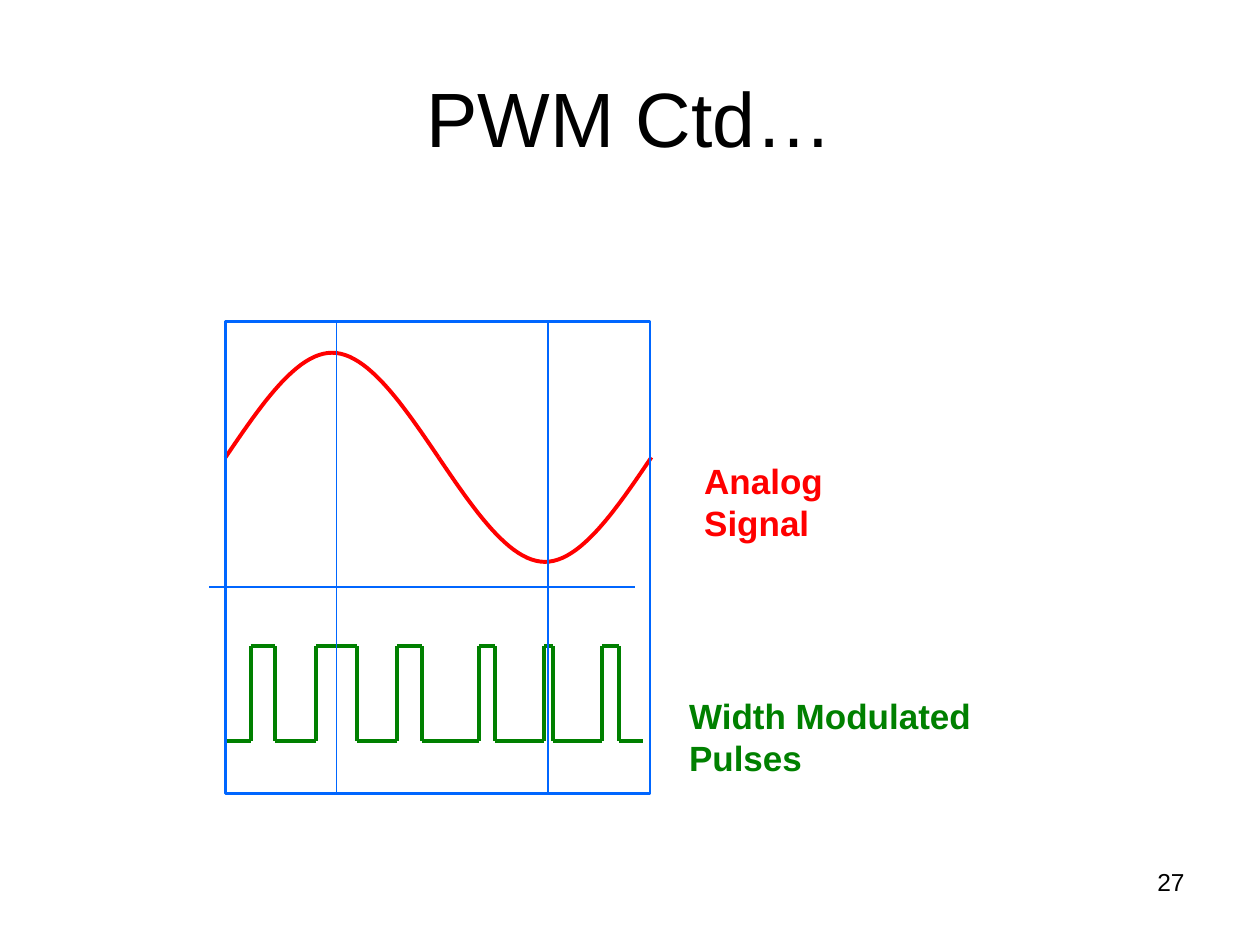
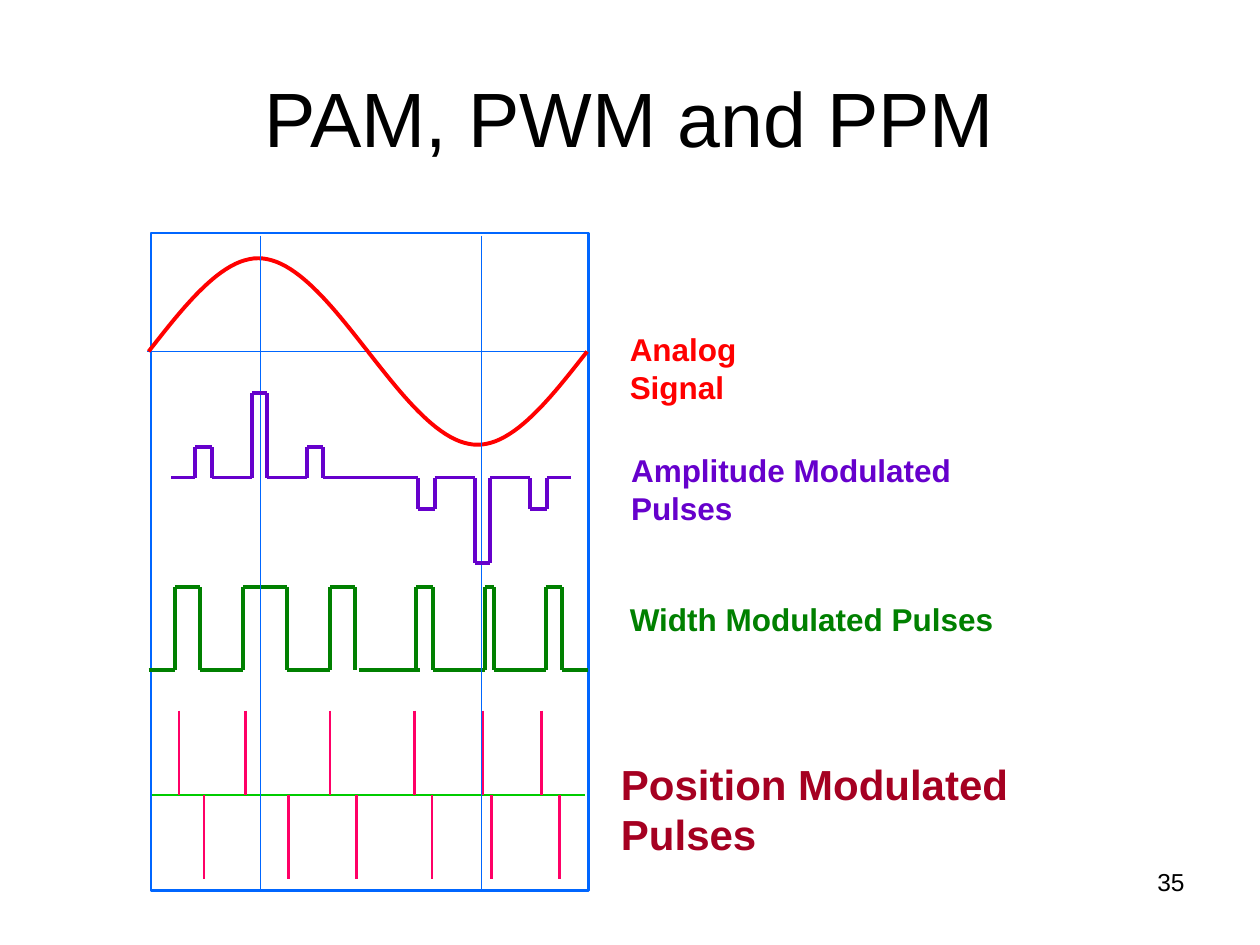
from dataclasses import dataclass

from lxml import etree
from pptx import Presentation
from pptx.dml.color import RGBColor
from pptx.enum import shapes, text
from pptx.oxml.ns import qn
from pptx.util import Inches, Pt


@dataclass(frozen=True)
class Theme:
    font: str = "Arial"
    ink: str = "000000"
    analog: str = "FF0000"
    amplitude: str = "6600CC"
    width: str = "008000"
    position: str = "A50021"
    spike: str = "FF0066"
    axis: str = "00CC00"
    frame: str = "0066FF"
    title_size: int = 44
    page_size: int = 14
    signal_line: float = 2.25
    frame_line: float = 1.5
    guide_line: float = 0.75


THEME = Theme()


# Basic elements
def add_text(slide, box, words, size, color=THEME.ink, bold=False, wrap=True,
             align=text.PP_ALIGN.LEFT, anchor=text.MSO_ANCHOR.TOP):
    tf = slide.shapes.add_textbox(*map(Inches, box)).text_frame
    tf.word_wrap = wrap
    tf.vertical_anchor = anchor
    p = tf.paragraphs[0]
    p.text = words
    p.alignment = align
    p.font.name = THEME.font
    p.font.size = Pt(size)
    p.font.bold = bold
    p.font.color.rgb = RGBColor.from_string(color)


def add_label(slide, box, words, size, color, wrap=False):
    add_text(slide, box, words, size, color, bold=True, wrap=wrap)


def set_line(sp, color, weight):
    sp.line.color.rgb = RGBColor.from_string(color)
    sp.line.width = Pt(weight)


def add_line(slide, x1, y1, x2, y2, color, weight):
    line = slide.shapes.add_connector(
        shapes.MSO_CONNECTOR.STRAIGHT, *map(Inches, (x1, y1, x2, y2)))
    set_line(line, color, weight)
    etree.SubElement(line._element.spPr, qn("a:effectLst"))


def add_outline(sp, color, weight):
    sp.fill.background()
    sp.shadow.inherit = False
    set_line(sp, color, weight)


# Signal diagrams
def add_frame(slide, left, top, width, height):
    sp = slide.shapes.add_shape(
        shapes.MSO_SHAPE.RECTANGLE, *map(Inches, (left, top, width, height)))
    add_outline(sp, THEME.frame, THEME.frame_line)


def add_guide(slide, x1, y1, x2, y2):
    add_line(slide, x1, y1, x2, y2, THEME.frame, THEME.guide_line)


def add_half_wave(slide, left, axis_y, width, rise, steps=48):
    """Draw one smooth arch; a negative rise makes a trough."""
    points = []
    for i in range(steps + 1):
        u = 1 - abs(2 * i / steps - 1)
        points.append((Inches(left + width * i / steps),
                       Inches(axis_y - rise * (1.5 * u - 0.5 * u ** 3))))
    builder = slide.shapes.build_freeform(*points[0])
    builder.add_line_segments(points[1:], close=False)
    add_outline(builder.convert_to_shape(), THEME.analog, THEME.signal_line)


def add_analog_wave(slide, left, axis_y, half_width, rise):
    add_half_wave(slide, left, axis_y, half_width, rise)
    add_half_wave(slide, left + half_width, axis_y, half_width, -rise)


def add_pulse_train(slide, start, end, base, pulses, color, base_shifts=()):
    """Draw (left, right, peak) pulses, then the base line between them.

    base_shifts maps the index of a base line piece to its sideways shift.
    """
    def stroke(*ends):
        add_line(slide, *ends, color, THEME.signal_line)

    for left, right, peak in pulses:
        stroke(left, peak, left, base)
        stroke(right, peak, right, base)
        stroke(left, peak, right, peak)
    starts = [start] + [right for _, right, _ in pulses]
    ends = [left for left, _, _ in pulses] + [end]
    shifts = dict(base_shifts)
    for i, (x1, x2) in enumerate(zip(starts, ends)):
        shift = shifts.get(i, 0)
        stroke(x1 + shift, base, x2 + shift, base)


def add_width_pulses(slide, start, end, base, peak, edges, base_shifts=()):
    pulses = [(left, right, peak) for left, right in edges]
    add_pulse_train(slide, start, end, base, pulses, THEME.width, base_shifts)


def add_spikes(slide, xs, y1, y2):
    for x in xs:
        add_line(slide, x, y1, x, y2, THEME.spike, THEME.frame_line)


# Slides
def add_slide(prs, title, page):
    slide = prs.slides.add_slide(prs.slide_layouts[6])
    add_text(slide, (0.5, 0.3, 9, 1.25), title, THEME.title_size,
             align=text.PP_ALIGN.CENTER, anchor=text.MSO_ANCHOR.MIDDLE)
    add_text(slide, (7.17, 6.83, 2.33, 0.52), str(page), THEME.page_size,
             align=text.PP_ALIGN.RIGHT)
    return slide


def build_pwm(prs):
    slide = add_slide(prs, "PWM Ctd…", 27)
    add_label(slide, (5.49, 3.6, 2.05, 0.44), "Analog Signal", 20, THEME.analog)
    add_label(slide, (5.37, 5.46, 3.41, 0.44), "Width Modulated Pulses", 20,
              THEME.width)
    edges = [(1.99, 2.18), (2.51, 2.83), (3.15, 3.35),
             (3.8, 3.93), (4.32, 4.39), (4.78, 4.91)]
    add_width_pulses(slide, 1.79, 5.1, 5.88, 5.13, edges)
    add_analog_wave(slide, 1.79, 3.63, 1.69, 0.83)
    add_frame(slide, 1.79, 2.55, 3.37, 3.75)
    for x in (2.67, 4.35):
        add_guide(slide, x, 2.55, x, 6.3)
    add_guide(slide, 1.66, 4.66, 5.04, 4.66)


def build_comparison(prs):
    slide = add_slide(prs, "PAM, PWM and PPM", 35)
    add_label(slide, (4.9, 2.57, 1.86, 0.4), "Analog Signal", 18, THEME.analog)
    add_label(slide, (4.91, 3.53, 3.61, 0.4), "Amplitude Modulated Pulses", 18,
              THEME.amplitude)
    add_label(slide, (4.9, 4.71, 3.09, 0.4), "Width Modulated Pulses", 18,
              THEME.width)
    add_label(slide, (4.83, 5.97, 3.69, 0.9), "Position Modulated Pulses", 24,
              THEME.position, wrap=True)
    add_frame(slide, 1.2, 1.85, 3.47, 5.22)
    add_guide(slide, 1.17, 2.79, 4.66, 2.79)

    # Position: spikes above the axis for leading edges, below for trailing
    axis_y, spike = 6.31, 0.67
    add_line(slide, 1.21, axis_y, 4.64, axis_y, THEME.axis, THEME.frame_line)
    add_spikes(slide, (1.42, 1.95, 2.62, 3.29, 3.83, 4.3), axis_y - spike, axis_y)
    add_spikes(slide, (1.62, 2.29, 2.83, 3.43, 3.9, 4.44), axis_y, axis_y + spike)

    # Width
    edges = [(1.39, 1.59), (1.93, 2.28), (2.62, 2.82),
             (3.3, 3.44), (3.85, 3.92), (4.33, 4.46)]
    add_width_pulses(slide, 1.18, 4.67, 5.32, 4.66, edges, {3: 0.03})

    # Analog
    add_analog_wave(slide, 1.18, 2.79, 1.74, 0.74)
    for x in (2.07, 3.82):
        add_guide(slide, x, 1.87, x, 7.07)

    # Amplitude
    pulses = [(1.55, 1.68, 3.55), (2, 2.12, 3.12), (2.44, 2.56, 3.55),
              (3.32, 3.45, 4.04), (3.77, 3.89, 4.47), (4.21, 4.34, 4.04)]
    add_pulse_train(slide, 1.36, 4.53, 3.79, pulses, THEME.amplitude)


def main():
    prs = Presentation()
    prs.slide_width, prs.slide_height = Inches(10), Inches(7.5)
    build_pwm(prs)
    build_comparison(prs)
    prs.save("out.pptx")


if __name__ == "__main__":
    main()
